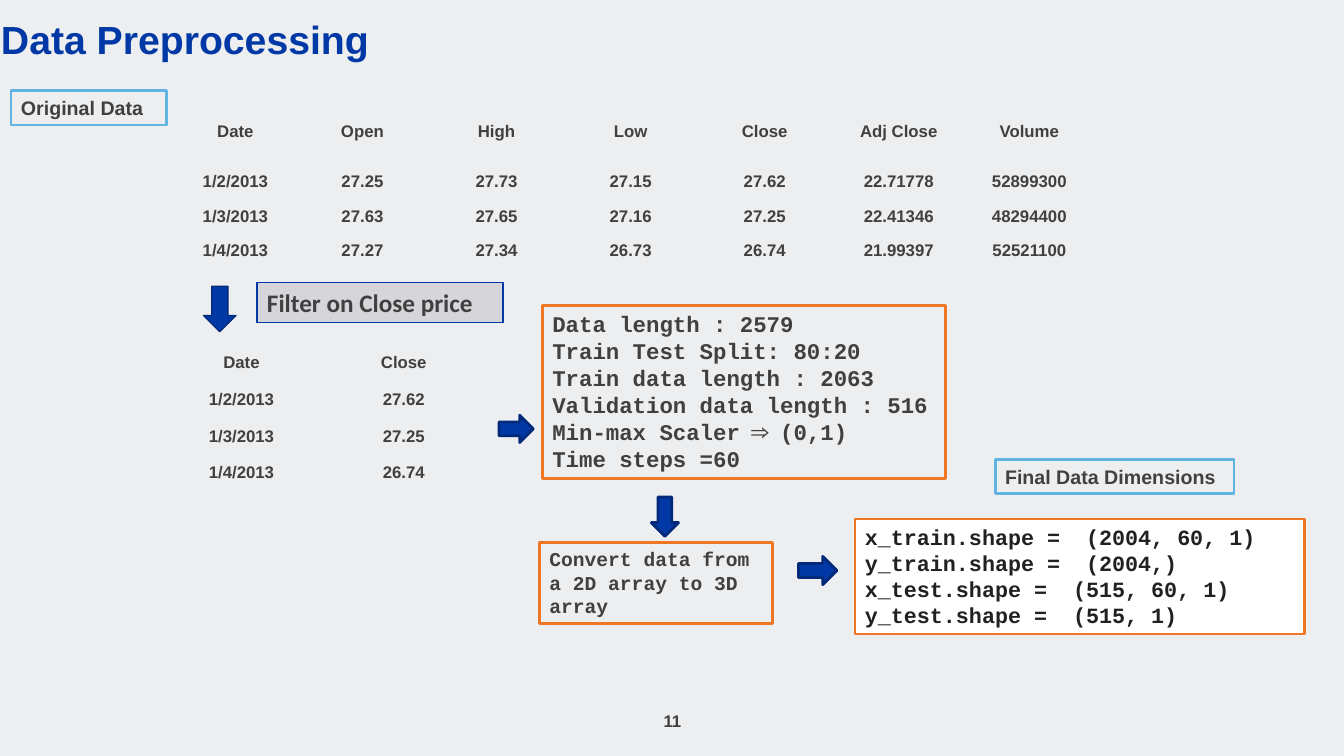
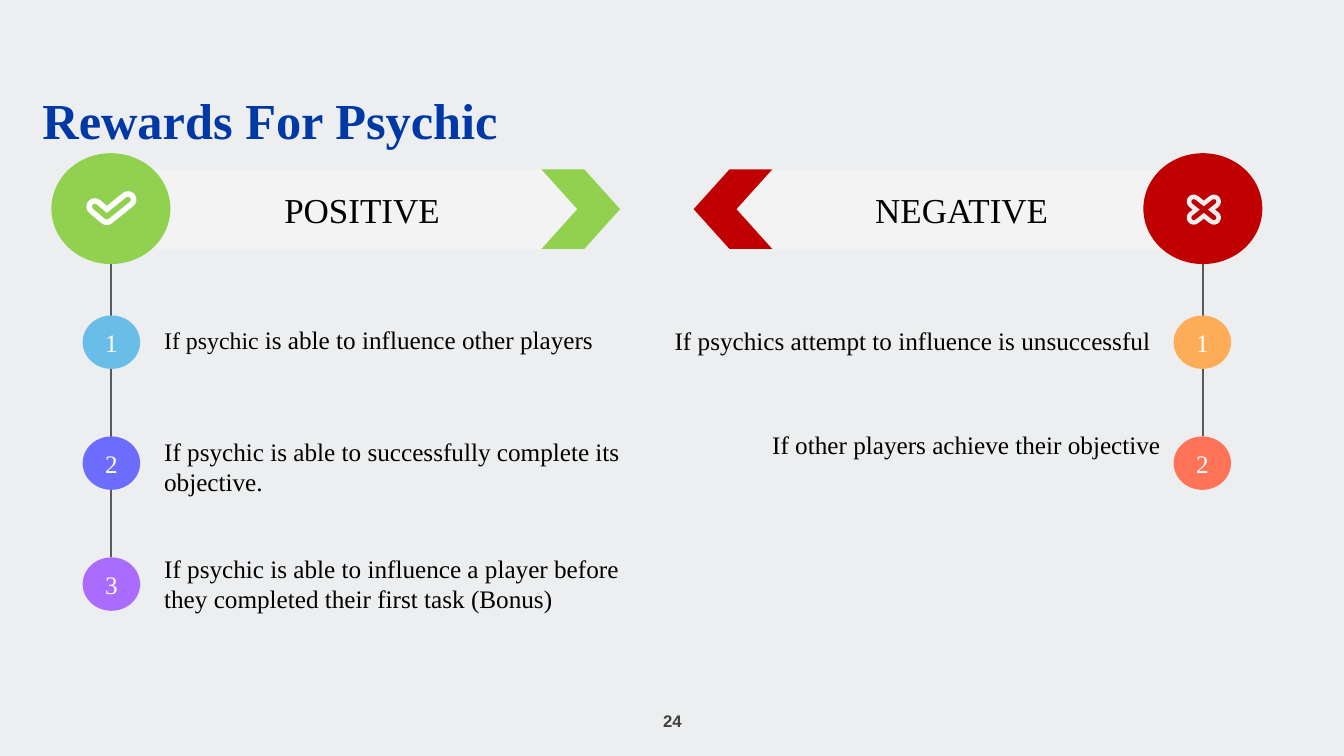
from lxml import etree
from pptx import Presentation
from pptx.dml.color import RGBColor
from pptx.enum.dml import MSO_FILL
from pptx.enum.shapes import MSO_CONNECTOR, MSO_SHAPE
from pptx.enum.text import MSO_ANCHOR, MSO_AUTO_SIZE, PP_ALIGN
from pptx.oxml.ns import qn
from pptx.util import Inches, Pt

LEFT, CENTER, RIGHT = PP_ALIGN.LEFT, PP_ALIGN.CENTER, PP_ALIGN.RIGHT
TOP, MIDDLE, BOTTOM = MSO_ANCHOR.TOP, MSO_ANCHOR.MIDDLE, MSO_ANCHOR.BOTTOM
RECTANGLE, OVAL = MSO_SHAPE.RECTANGLE, MSO_SHAPE.OVAL
PENTAGON, CHEVRON = MSO_SHAPE.PENTAGON, MSO_SHAPE.CHEVRON
DOWN, ACROSS = MSO_SHAPE.DOWN_ARROW, MSO_SHAPE.RIGHT_ARROW

# Shared look
PAPER = RGBColor(0xED, 0xEE, 0xEF)
WHITE = RGBColor(0xFF, 0xFF, 0xFF)
BLACK = RGBColor(0, 0, 0)
INK = RGBColor(0x40, 0x40, 0x41)
CODE_INK = RGBColor(0x21, 0x21, 0x21)
BLUE = RGBColor(0x00, 0x39, 0xA6)
NAVY = RGBColor(0x00, 0x29, 0x79)
SKY = RGBColor(0x61, 0xB4, 0xE4)
ORANGE = RGBColor(0xEF, 0x76, 0x22)
SILVER = RGBColor(0xD6, 0xD6, 0xDA)
BANNER = RGBColor(0xF3, 0xF3, 0xF3)
SPINE = RGBColor(0x59, 0x59, 0x59)
GREEN = RGBColor(0x92, 0xD0, 0x50)
RED = RGBColor(0xC0, 0x00, 0x00)
LIGHT_BLUE = RGBColor(0x69, 0xBE, 0xE7)
INDIGO = RGBColor(0x6C, 0x6C, 0xFF)
VIOLET = RGBColor(0xAA, 0x6C, 0xFF)
AMBER = RGBColor(0xFF, 0xAC, 0x59)
CORAL = RGBColor(0xFF, 0x74, 0x59)
SANS, SERIF, MONO = "Arial", "Times New Roman", "Courier New"
WIDTH, HEIGHT = 13.33, 7.5
NO_GRID_STYLE = "{2D5ABB26-0587-4C30-8999-92F81FD0307C}"

# Data preprocessing content
PRICES = [
    ("Date", "Open", "High", "Low", "Close", "Adj Close", "Volume"),
    ("1/2/2013", "27.25", "27.73", "27.15", "27.62", "22.71778", "52899300"),
    ("1/3/2013", "27.63", "27.65", "27.16", "27.25", "22.41346", "48294400"),
    ("1/4/2013", "27.27", "27.34", "26.73", "26.74", "21.99397", "52521100"),
]
CLOSE_PRICES = [(row[0], row[4]) for row in PRICES]
SETTINGS = [
    "Data length : 2579",
    "Train Test Split: 80:20",
    "Train data length : 2063",
    "Validation data length : 516",
    "Min-max Scaler ⇒ (0,1)",
    "Time steps =60",
]
SHAPES = [
    "x_train.shape =  (2004, 60, 1)",
    "y_train.shape =  (2004,)",
    "x_test.shape =  (515, 60, 1)",
    "y_test.shape =  (515, 1)",
]
# Text, place, fill, outline colour and width, font, size, ink
STEPS = [
    (["Original Data"], (0.11, 0.9, 1.54, 0.34), PAPER, SKY, 2, SANS, 14, INK),
    (["Filter on Close price"], (2.55, 2.8, 2.44, 0.4), SILVER, BLUE, 1, "Calibri", 18, INK),
    (SETTINGS, (5.38, 3.03, 4, 1.72), PAPER, ORANGE, 2, MONO, 16, INK),
    (["Convert data from a 2D array to 3D array"], (5.35, 5.38, 2.31, 0.81),
     PAPER, ORANGE, 2, MONO, 14, INK),
    (["Final Data Dimensions"], (9.87, 4.56, 2.37, 0.34), PAPER, SKY, 2, SANS, 14, INK),
    (SHAPES, (8.48, 5.15, 4.46, 1.14), WHITE, ORANGE, 2, MONO, 15.5, CODE_INK),
]
ARROWS = [
    (DOWN, (2.02, 2.84, 0.32, 0.45), 1),
    (ACROSS, (4.95, 4.12, 0.34, 0.27), 2),
    (DOWN, (6.46, 4.93, 0.27, 0.39), 2),
    (ACROSS, (7.92, 5.52, 0.38, 0.28), 2),
]

# Rewards content: each item has its runs, text place and badge colour
CHECK = [[(0.94, 2.05), (1.06, 2.15), (1.27, 1.98)]]
CROSS = [[(11.84, 2), (12.04, 2.16)], [(12.04, 2), (11.84, 2.16)]]
SIDES = [
    dict(heading="POSITIVE", color=GREEN, mirrored=False, align=LEFT,
         icon=CHECK, icon_color=WHITE, icon_widths=(12, 4), items=[
             ([("If psychic ", 17), ("is able to influence other players", 18)],
              (1.53, 3.12, 5.02, 0.55), LIGHT_BLUE),
             ([("If psychic is able to successfully complete its objective.", 18)],
              (1.53, 4.23, 5.07, 0.77), INDIGO),
             ([("If psychic is able to influence a player before they completed "
                "their first task (Bonus)", 18)],
              (1.53, 5.39, 5.13, 0.8), VIOLET),
         ]),
    dict(heading="NEGATIVE", color=RED, mirrored=True, align=RIGHT,
         icon=CROSS, icon_color=PAPER, icon_widths=(10, 3.5), items=[
             ([("If psychics attempt to influence is unsuccessful", 18)],
              (6.49, 3.13, 5.02, 0.87), AMBER),
             ([("If other players achieve their objective", 18)],
              (6.85, 4.16, 4.76, 0.87), CORAL),
         ]),
]
MIRROR_SPAN = 13.03
BADGE_TOP, BADGE_STEP = 3.13, 1.2


def inches(place):
    return [Inches(value) for value in place]


def write(box, paragraphs, font=SANS, size=12, color=INK, bold=False, align=LEFT,
          anchor=TOP, insets=(0.1, 0.05, 0.1, 0.05), spacing=None):
    """Fill a shape with paragraphs, each a string or a list of (text, size) runs."""
    frame = box.text_frame
    frame.word_wrap = True
    frame.auto_size = MSO_AUTO_SIZE.NONE
    frame.vertical_anchor = anchor
    (frame.margin_left, frame.margin_top,
     frame.margin_right, frame.margin_bottom) = inches(insets)
    for index, spans in enumerate(paragraphs):
        para = frame.add_paragraph() if index else frame.paragraphs[0]
        para.alignment = align
        if spacing:
            para.line_spacing = spacing
        for text, span_size in [(spans, size)] if isinstance(spans, str) else spans:
            span = para.add_run()
            span.text = text
            span.font.name, span.font.size = font, Pt(span_size)
            span.font.bold, span.font.color.rgb = bold, color


def add_text(page, place, paragraphs, **style):
    write(page.shapes.add_textbox(*inches(place)), paragraphs, **style)


def add_block(page, kind, place, fill, line=None, width=1, adjust=None, flipped=False):
    box = page.shapes.add_shape(kind, *inches(place))
    box.shadow.inherit = False
    box.fill.solid()
    box.fill.fore_color.rgb = fill
    if line is None:
        box.line.fill.background()
    else:
        box.line.color.rgb, box.line.width = line, Pt(width)
    if adjust is not None:
        box.adjustments[0] = adjust
    if flipped:
        box._element.spPr.find(qn("a:xfrm")).set("flipH", "1")
    return box


def add_page(deck, title, place, font, size, number):
    page = deck.slides.add_slide(deck.slide_layouts[5])
    heading = page.shapes.title
    heading.left, heading.top, heading.width, heading.height = inches(place)
    write(heading, [title], font=font, size=size, color=BLUE, bold=True,
          anchor=BOTTOM, insets=(0, 0, 0, 0), spacing=0.9)
    add_text(page, (5.17, 6.95, 3, 0.4), [number], bold=True, align=CENTER, anchor=MIDDLE)
    return page


def add_grid(page, left, top, rows, widths, heights):
    place = (left, top, sum(widths), sum(heights))
    table = page.shapes.add_table(len(rows), len(widths), *inches(place)).table
    table.first_row = table.horz_banding = False
    table._tbl.tblPr.find(qn("a:tableStyleId")).text = NO_GRID_STYLE
    for column, width in zip(table.columns, widths):
        column.width = Inches(width)
    for row, height, texts in zip(table.rows, heights, rows):
        row.height = Inches(height)
        for cell, text in zip(row.cells, texts):
            cell.fill.background()
            cell.vertical_anchor = MIDDLE
            cell.margin_left = cell.margin_right = cell.margin_top = Inches(0.01)
            cell.margin_bottom = 0
            para = cell.text_frame.paragraphs[0]
            para.alignment = CENTER
            span = para.add_run()
            span.text = text
            span.font.name, span.font.size = SANS, Pt(12)
            span.font.bold, span.font.color.rgb = True, INK


def add_stroke(page, strokes, color, width):
    """Draw open paths with round ends and corners."""
    points = [[inches(point) for point in stroke] for stroke in strokes]
    builder = page.shapes.build_freeform(*points[0][0])
    for index, (start, *rest) in enumerate(points):
        if index:
            builder.move_to(*start)
        builder.add_line_segments(rest, close=False)
    mark = builder.convert_to_shape()
    mark.shadow.inherit = False
    mark.fill.background()
    mark.line.color.rgb, mark.line.width = color, Pt(width)
    outline = mark.line._get_or_add_ln()
    outline.set("cap", "rnd")
    etree.SubElement(outline, qn("a:round"))


def add_spine(page, x, top, bottom):
    line = page.shapes.add_connector(MSO_CONNECTOR.STRAIGHT, *inches((x, top, x, bottom)))
    line.line.color.rgb, line.line.width = SPINE, Pt(1.5)
    etree.SubElement(line._element.spPr, qn("a:effectLst"))


def build_preprocessing(deck):
    page = add_page(deck, "Data Preprocessing", (0.01, 0.2, 9.47, 0.42), SANS, 28, "11")
    add_grid(page, 1.74, 0.97, PRICES, [1.19] + [1.33] * 5 + [1.26], [0.66] + [0.34] * 3)
    add_grid(page, 1.59, 3.41, CLOSE_PRICES, [1.61] * 2, [0.365] * 4)
    for lines, place, fill, line, width, font, size, ink in STEPS:
        box = add_block(page, RECTANGLE, place, fill, line, width)
        write(box, lines, font=font, size=size, color=ink, bold=True)
    for kind, place, width in ARROWS:
        add_block(page, kind, place, BLUE, NAVY, width)


def build_side(page, side):
    flipped, color = side["mirrored"], side["color"]

    def put(left, top, width, height):
        return (MIRROR_SPAN - left - width if flipped else left, top, width, height)

    # Spine and banner
    last_top = BADGE_TOP + BADGE_STEP * (len(side["items"]) - 1)
    add_spine(page, put(1.1, 0, 0, 0)[0], 2.62, last_top)
    banner = add_block(page, PENTAGON, put(1.13, 1.68, 5.02, 0.79), BANNER,
                       adjust=0.5, flipped=flipped)
    write(banner, [side["heading"]], font=SERIF, size=25, color=BLACK,
          align=CENTER, anchor=MIDDLE, insets=(0.1, 0.1, 0, 0.1))
    add_block(page, CHEVRON, put(5.37, 1.68, 0.78, 0.79), color, adjust=0.456, flipped=flipped)
    add_block(page, OVAL, put(0.51, 1.52, 1.18, 1.1), color)
    for ink, width in zip((side["icon_color"], color), side["icon_widths"]):
        add_stroke(page, side["icon"], ink, width)

    # Numbered items
    even = dict(font=SERIF, size=18, insets=(0.1,) * 4)
    for index, (spans, place, fill) in enumerate(side["items"]):
        top = BADGE_TOP + BADGE_STEP * index
        badge = add_block(page, OVAL, put(0.82, top, 0.57, 0.53), fill)
        write(badge, [str(index + 1)], color=WHITE, align=CENTER, anchor=MIDDLE, **even)
        add_text(page, place, [spans], color=BLACK, align=side["align"], **even)


def build_rewards(deck):
    page = add_page(deck, "Rewards For Psychic", (0.42, 0.94, 12.5, 0.55), SERIF, 36, "24")
    for side in SIDES:
        build_side(page, side)


def main():
    deck = Presentation()
    deck.slide_width, deck.slide_height = Inches(WIDTH), Inches(HEIGHT)
    backdrop = deck.slide_master.background.fill
    if backdrop.type != MSO_FILL.SOLID:
        backdrop.solid()
    backdrop.fore_color.rgb = PAPER
    build_preprocessing(deck)
    build_rewards(deck)
    deck.save("out.pptx")


if __name__ == "__main__":
    main()
